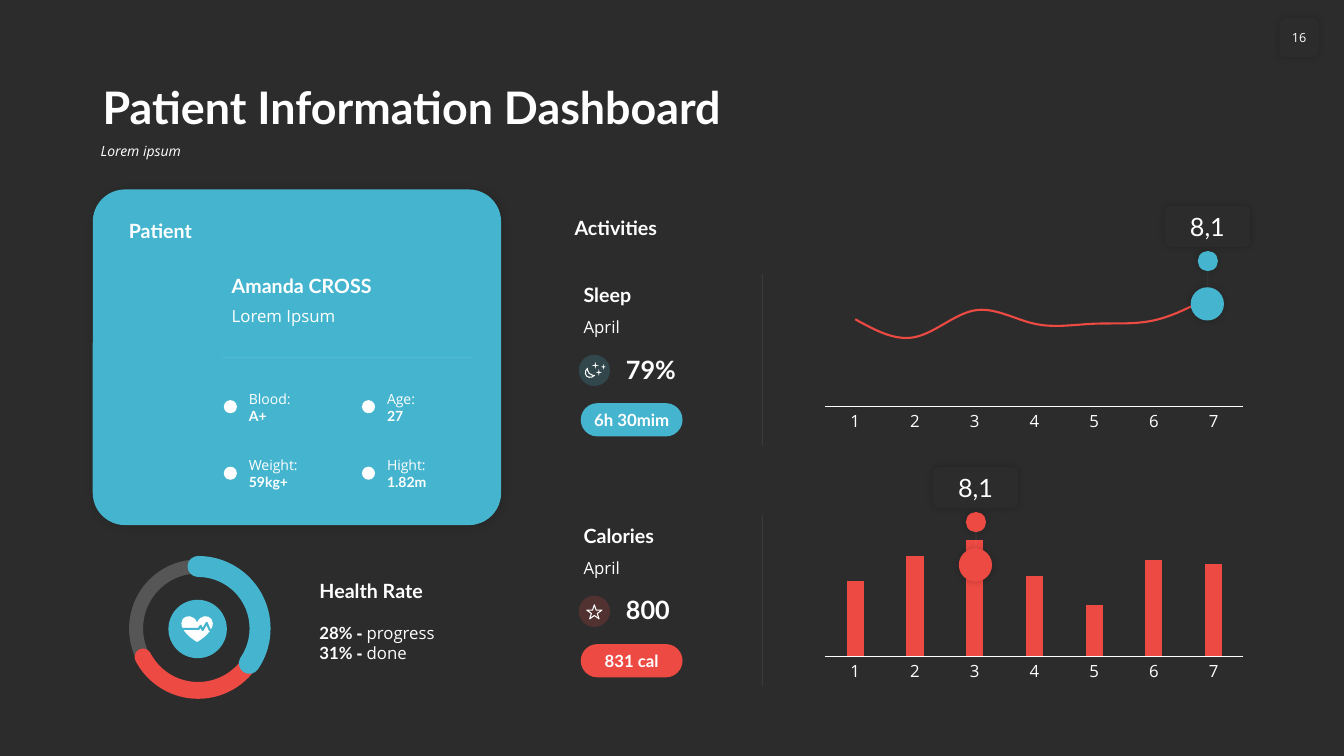
from lxml import etree
from pptx import Presentation
from pptx.chart.data import CategoryChartData
from pptx.dml.color import RGBColor
from pptx.enum.chart import XL_CHART_TYPE, XL_MARKER_STYLE, XL_TICK_MARK
from pptx.enum.shapes import MSO_CONNECTOR, MSO_SHAPE
from pptx.enum.text import MSO_ANCHOR, PP_ALIGN
from pptx.oxml import parse_xml
from pptx.oxml.ns import nsdecls, qn
from pptx.util import Inches, Pt

OVAL, ROUND, ARC = MSO_SHAPE.OVAL, MSO_SHAPE.ROUNDED_RECTANGLE, MSO_SHAPE.ARC
HEART, MOON = MSO_SHAPE.HEART, MSO_SHAPE.MOON
STAR4, STAR5 = MSO_SHAPE.STAR_4_POINT, MSO_SHAPE.STAR_5_POINT
LINE, COLUMN = XL_CHART_TYPE.LINE, XL_CHART_TYPE.COLUMN_CLUSTERED
TOP, MID, LOW = MSO_ANCHOR.TOP, MSO_ANCHOR.MIDDLE, MSO_ANCHOR.BOTTOM
LEFT, MIDDLE = PP_ALIGN.LEFT, PP_ALIGN.CENTER
HEAD, BODY = "Lato", "Open Sans"
DARK, WHITE, BLUE, RED = "2C2C2C", "FFFFFF", "45B5CF", "ED4A43"


def tint(target, color):
    target.rgb = RGBColor.from_string(color)


def fade(node, share):
    for hue in node.iter(qn("a:srgbClr")):
        etree.SubElement(hue, qn("a:alpha")).set("val", str(share * 1000))


def write(frame, rows, size, anchor=TOP, align=LEFT, inset=(0.1, 0.05), wrap=True):
    frame.word_wrap = wrap
    frame.vertical_anchor = anchor
    frame.margin_left = frame.margin_right = Inches(inset[0])
    frame.margin_top = frame.margin_bottom = Inches(inset[1])
    for i, row in enumerate(rows):
        para = frame.add_paragraph() if i else frame.paragraphs[0]
        para.alignment = align
        for text, face, bold in row:
            run = para.add_run()
            run.text = text
            run.font.name, run.font.size, run.font.bold = face, Pt(size), bold
            tint(run.font.color, WHITE)


def note(slide, box, rows, size, anchor=TOP):
    label = slide.shapes.add_textbox(*map(Inches, box))
    write(label.text_frame, rows, size, anchor)
    return label.text_frame


def head(slide, box, text, size=14):
    return note(slide, box, [[(text, HEAD, True)]], size, LOW)


def shape(slide, kind, box, fill=None, line=None, width=1, adjust=(), blur=0, dark=20, dist=0):
    item = slide.shapes.add_shape(kind, *map(Inches, box))
    for i, value in enumerate(adjust):
        item.adjustments[i] = value
    item.shadow.inherit = False
    if fill:
        item.fill.solid()
        tint(item.fill.fore_color, fill)
    else:
        item.fill.background()
    if line:
        tint(item.line.color, line)
        item.line.width = Pt(width)
    else:
        item.line.fill.background()
    if blur:
        effects = item._element.spPr.find(qn("a:effectLst"))
        effects.append(parse_xml(
            f'<a:outerShdw {nsdecls("a")} blurRad="{Pt(blur)}" dist="{Pt(dist)}" dir="2700000" '
            f'algn="ctr" rotWithShape="0"><a:srgbClr val="000000">'
            f'<a:alpha val="{dark * 1000}"/></a:srgbClr></a:outerShdw>'))
    return item


def rule(slide, x1, y1, x2, y2):
    line = slide.shapes.add_connector(MSO_CONNECTOR.STRAIGHT, *map(Inches, (x1, y1, x2, y2)))
    tint(line.line.color, WHITE)
    line.line.width = Pt(0.5)
    props = line._element.spPr
    fade(props, 10)
    etree.SubElement(props, qn("a:effectLst"))


def header(slide, x, y):
    lead = note(slide, (x - 0.02, y + 0.8, 11.52, 0.36), [[("Lorem ipsum", BODY, False)]], 10)
    lead.paragraphs[0].runs[0].font.italic = True
    title = head(slide, (x, y, 11.5, 0.8), "Patient Information Dashboard", 32)
    for frame in (lead, title):
        frame.paragraphs[0].line_spacing = 0.9
    page = shape(slide, ROUND, (12.69, 0.18, 0.39, 0.39), DARK, blur=5)
    write(page.text_frame, [[("16", BODY, False)]], 9, MID, MIDDLE, (0, 0.05), False)


def card(slide, x, y, w, h):
    shape(slide, ROUND, (x, y, w, h), BLUE, adjust=[0.096], blur=6, dark=15, dist=1)
    head(slide, (x + 0.26, y + 0.23, 3.61, 0.34), "Patient")
    head(slide, (x + 1.28, y + 0.78, 2.59, 0.34), "Amanda CROSS")
    note(slide, (x + 1.28, y + 1.1, 2.59, 0.3), [[("Lorem Ipsum", BODY, False)]], 12)
    rule(slide, x + 1.28, y + 1.67, x + 3.77, y + 1.67)
    facts = [("Blood:", "A+"), ("Age:", "27"), ("Weight:", "59kg+"), ("Hight:", "1.82m")]
    for i, (name, value) in enumerate(facts):
        left, top = x + 1.3 + i % 2 * 1.37, y + 1.94 + i // 2 * 0.66
        shape(slide, OVAL, (left, top + 0.15, 0.13, 0.13), WHITE)
        note(slide, (left + 0.15, top, 0.95, 0.44),
             [[(name, BODY, False)], [(value, HEAD, True)]], 10, MID)


def health(slide, x, y, size):
    ring = (x, y, size, size)
    fade(shape(slide, OVAL, ring, line=WHITE, width=10)._element.spPr, 20)
    shape(slide, OVAL, (x + 0.32, y + 0.33, 0.58, 0.58), BLUE)
    for color, width, ends in ((RED, 12, (20.167, 91.575)), (BLUE, 15, (162, 20.542))):
        arc = shape(slide, ARC, ring, line=color, width=width, adjust=ends)
        arc._element.spPr.find(qn("a:ln")).set("cap", "rnd")
    shape(slide, HEART, (x + 0.45, y + 0.49, 0.31, 0.26), WHITE)
    beat = [(0.62, 0.62), (0.64, 0.59), (0.66, 0.63), (0.7, 0.56), (0.73, 0.63), (0.77, 0.63)]
    path = slide.shapes.build_freeform(Inches(x + 0.45), Inches(y + 0.62))
    path.add_line_segments([(Inches(x + a), Inches(y + b)) for a, b in beat], close=False)
    pulse = path.convert_to_shape()
    pulse.shadow.inherit = False
    pulse.fill.background()
    tint(pulse.line.color, BLUE)
    pulse.line.width = Pt(1.5)
    head(slide, (x + 1.72, y + 0.07, 1.72, 0.34), "Health Rate")
    rates = [[(rate, HEAD, True), ("- ", BODY, True), (name, BODY, False)]
             for rate, name in (("28% ", "progress"), ("31% ", "done"))]
    note(slide, (x + 1.72, y + 0.51, 1.72, 0.5), rates, 12)


def panel(slide, x, y, name, value, total, color):
    head(slide, (x, y, 1.66, 0.34), name)
    note(slide, (x, y + 0.34, 1.66, 0.3), [[("April", BODY, False)]], 12)
    disc = shape(slide, OVAL, (x + 0.05, y + 0.77, 0.31, 0.31), color)
    fade(disc._element.spPr, 20)
    head(slide, (x + 0.42, y + 0.71, 1.24, 0.4), value, 18)
    pill = shape(slide, ROUND, (x + 0.07, y + 1.25, 1.01, 0.33), color, adjust=[0.5])
    write(pill.text_frame, [[(total, HEAD, True)]], 12, MID, MIDDLE, (0, 0))
    rule(slide, x + 1.87, y + 1.67, x + 1.87, y - 0.03)


def graph(slide, box, kind, values, low, high):
    data = CategoryChartData()
    data.categories = [str(day) for day in range(1, 8)]
    data.add_series("Series 1", values)
    chart = slide.shapes.add_chart(kind, *map(Inches, box), data).chart
    chart.has_legend = chart.has_title = False
    chart.font.name, chart.font.size = BODY, Pt(12)
    tint(chart.font.color, WHITE)
    scale, days = chart.value_axis, chart.category_axis
    scale.visible = scale.has_major_gridlines = False
    scale.minimum_scale, scale.maximum_scale = low, high
    days.major_tick_mark = days.minor_tick_mark = XL_TICK_MARK.NONE
    tint(days.format.line.color, WHITE)
    days.format.line.width = Pt(0.75)
    plot = chart.plots[0]
    plot.vary_by_categories = False
    series = plot.series[0]
    if kind == LINE:
        series.smooth = True
        series.marker.style = XL_MARKER_STYLE.NONE
        tint(series.format.line.color, RED)
        series.format.line.width = Pt(1.5)
    else:
        plot.gap_width = 250
        series.format.fill.solid()
        tint(series.format.fill.fore_color, RED)
    area = chart._chartSpace.chart.plotArea
    for old in area.findall(qn("c:layout")):
        area.remove(old)
    area.insert(0, parse_xml(
        f'<c:layout {nsdecls("c")}><c:manualLayout><c:layoutTarget val="inner"/>'
        '<c:xMode val="edge"/><c:yMode val="edge"/><c:x val="0.02"/><c:y val="0.02"/>'
        '<c:w val="0.96"/><c:h val="0.79"/></c:manualLayout></c:layout>'))


def callout(slide, x, y, color):
    shape(slide, OVAL, (x + 0.26, y + 0.81, 0.33, 0.33), color, blur=5)
    rule(slide, x + 0.43, y + 0.65, x + 0.43, y + 0.81)
    shape(slide, OVAL, (x + 0.33, y + 0.45, 0.2, 0.2), color, blur=5)
    flag = shape(slide, ROUND, (x, y, 0.85, 0.41), DARK, blur=5)
    write(flag.text_frame, [[("8,1", HEAD, False)]], 18, MID, MIDDLE, (0.08, 0.05))


def night(slide, x, y):
    moon = shape(slide, MOON, (x + 0.02, y + 0.07, 0.06, 0.1), line=WHITE, width=0.75, adjust=[0.6])
    moon.rotation = -45
    for left, top, w, h in ((0.17, 0.02, 0.05, 0.06), (0.08, 0, 0.07, 0.07), (0.12, 0.07, 0.06, 0.07)):
        shape(slide, STAR4, (x + left, y + top, w, h), WHITE)


def main():
    deck = Presentation()
    deck.slide_width, deck.slide_height = Inches(13.33), Inches(7.5)
    slide = deck.slides.add_slide(deck.slide_layouts[6])
    slide.background.fill.solid()
    tint(slide.background.fill.fore_color, DARK)
    header(slide, 0.92, 0.58)
    card(slide, 0.92, 1.88, 4.05, 3.33)
    health(slide, 1.35, 5.62, 1.23)
    head(slide, (5.6, 2.08, 3.81, 0.34), "Activities")
    panel(slide, 5.69, 2.75, "Sleep", "79%", "6h 30mim", BLUE)
    night(slide, 5.79, 3.59)
    graph(slide, (8.1, 2.75, 4.32, 1.58), LINE, (78, 62, 86, 74, 74, 77, 100), 0, 113)
    callout(slide, 11.55, 2.04, BLUE)
    panel(slide, 5.69, 5.14, "Calories", "800", "831 cal", RED)
    shape(slide, STAR5, (5.82, 6, 0.15, 0.14), line=WHITE, width=0.75)
    graph(slide, (8.1, 5.23, 4.32, 1.58), COLUMN, (90, 96, 100, 91, 84, 95, 94), 71.5, 102.3)
    callout(slide, 9.25, 4.63, RED)
    deck.save("out.pptx")


if __name__ == "__main__":
    main()
